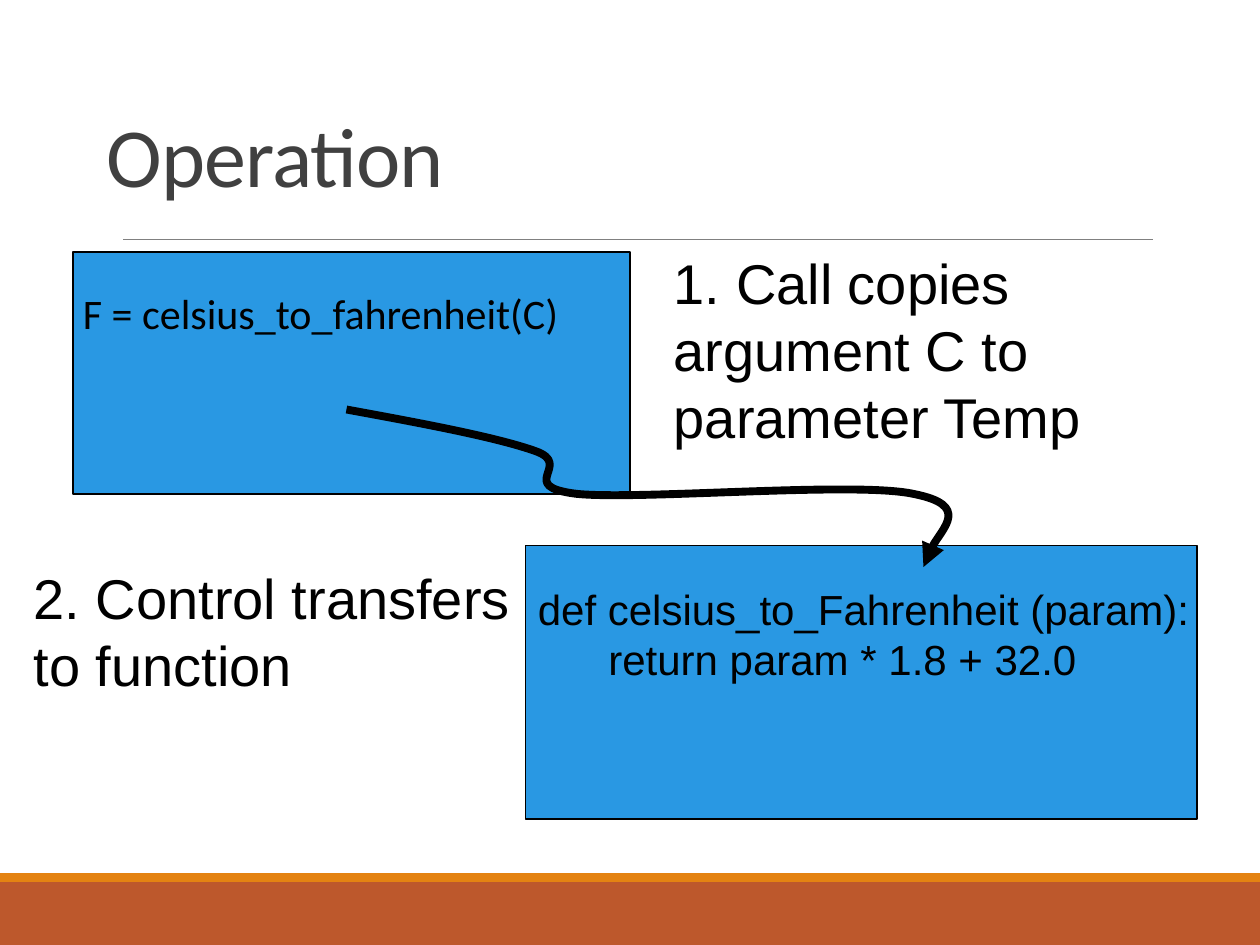
from lxml.etree import SubElement
from pptx import Presentation
from pptx.dml.color import RGBColor
from pptx.enum.shapes import MSO_CONNECTOR, MSO_SHAPE
from pptx.enum.text import MSO_ANCHOR
from pptx.oxml.ns import qn
from pptx.util import Inches, Pt

COLORS = {
    "footer": "BD582C",
    "accent": "E48312",
    "rule": "808080",
    "title": "404040",
    "panel": "2998E3",
    "ink": "000000",
}


def color(name):
    """Return the named palette colour."""
    return RGBColor.from_string(COLORS[name])


def add_text(slide, box, text, size=24, font="Arial", ink="ink", anchor=MSO_ANCHOR.TOP,
             line_spacing=1.0, tracking=0, indents=()):
    """Add a wrapped text box with one paragraph for each line of text."""
    shape = slide.shapes.add_textbox(*map(Inches, box))
    frame = shape.text_frame
    frame.word_wrap = True
    frame.vertical_anchor = anchor
    frame.text = text
    for index, paragraph in enumerate(frame.paragraphs):
        paragraph.line_spacing = line_spacing
        if index < len(indents):
            paragraph._p.get_or_add_pPr().set("marL", str(Inches(indents[index])))
        run = paragraph.runs[0]
        run.font.size = Pt(size)
        run.font.name = font
        run.font.color.rgb = color(ink)
        if tracking:
            run._r.get_or_add_rPr().set("spc", str(int(tracking * 100)))
    return shape


def add_rectangle(slide, box, fill, outline=None):
    """Add a flat rectangle with an optional thin outline."""
    shape = slide.shapes.add_shape(MSO_SHAPE.RECTANGLE, *map(Inches, box))
    shape.shadow.inherit = False
    shape.fill.solid()
    shape.fill.fore_color.rgb = color(fill)
    if outline:
        shape.line.color.rgb = color(outline)
        shape.line.width = Pt(0.75)
    else:
        shape.line.fill.background()
    return shape


def add_footer(slide, left, top, width, height):
    """Draw the footer band with its accent strip on top."""
    strip = 0.07
    add_rectangle(slide, (left, top + strip, width, height - strip), "footer")
    add_rectangle(slide, (left, top, width, strip), "accent")


def add_header(slide, left, top, width, height):
    """Draw the title and the rule below it."""
    rule_left, rule_top = left + 0.23, top + height + 0.23
    rule = slide.shapes.add_connector(
        MSO_CONNECTOR.STRAIGHT, Inches(rule_left), Inches(rule_top),
        Inches(left + width - 0.1), Inches(rule_top))
    rule.line.color.rgb = color("rule")
    rule.line.width = Pt(0.5)
    SubElement(rule._element.spPr, qn("a:effectLst"))
    add_text(slide, (left, top, width, height), "Operation", size=48, font="Calibri",
             ink="title", anchor=MSO_ANCHOR.BOTTOM, line_spacing=0.85, tracking=-0.5)


def add_code_panel(slide, left, top, width, height, code, offset, **text_format):
    """Draw a code panel with its text shifted by the given offset."""
    add_rectangle(slide, (left, top, width, height), "panel", outline="ink")
    shift_x, shift_y = offset
    add_text(slide, (left + shift_x, top + shift_y, width + 0.09, 0.9), code, **text_format)


def add_call_arrow(slide, left, top):
    """Draw the curved arrow that leads from the call to the function."""
    curves = [
        [(0.6, 0.11), (1.19, 0.22), (1.5, 0.33)],
        [(1.81, 0.44), (1.33, 0.61), (1.83, 0.67)],
        [(2.33, 0.72), (4.04, 0.57), (4.5, 0.67)],
        [(4.96, 0.76), (4.57, 1.15), (4.58, 1.25)],
    ]
    points = [(Inches(x), Inches(y)) for curve in curves for x, y in curve]
    builder = slide.shapes.build_freeform(0, 0)
    builder.add_line_segments(points, close=False)
    arrow = builder.convert_to_shape(Inches(left), Inches(top))
    outline = next(arrow._element.iter(qn("a:path")))
    segments = outline.findall(qn("a:lnTo"))
    for start in range(0, len(segments), 3):
        bezier = SubElement(outline, qn("a:cubicBezTo"))
        for segment in segments[start:start + 3]:
            bezier.append(segment[0])
            outline.remove(segment)
    arrow.shadow.inherit = False
    arrow.fill.background()
    arrow.line.color.rgb = color("ink")
    arrow.line.width = Pt(4.5)
    SubElement(arrow.line._get_or_add_ln(), qn("a:tailEnd"), type="triangle")


def build_slide(presentation):
    """Place every region of the function call slide."""
    slide = presentation.slides.add_slide(presentation.slide_layouts[6])
    add_footer(slide, 0, 6.93, 10, 0.57)
    add_header(slide, 0.75, 0.42, 8.5, 1.25)
    add_code_panel(slide, 4.17, 4.33, 5.33, 2.17,
                   "def celsius_to_Fahrenheit (param):\nreturn param * 1.8 + 32.0",
                   (0, 0.25), indents=(0, 0.56))
    add_code_panel(slide, 0.58, 2, 4.42, 1.92, "F = celsius_to_fahrenheit(C)",
                   (-0.02, 0.23), font="Calibri")
    add_text(slide, (5.25, 1.92, 3.83, 1.7),
             "1. Call copies argument C to parameter Temp", size=32)
    add_call_arrow(slide, 2.75, 3.25)
    add_text(slide, (0.17, 4.42, 4, 1.18), "2. Control transfers to function", size=32)


def main():
    """Build and save the presentation."""
    presentation = Presentation()
    presentation.slide_width = Inches(10)
    presentation.slide_height = Inches(7.5)
    build_slide(presentation)
    presentation.save("out.pptx")


main()
